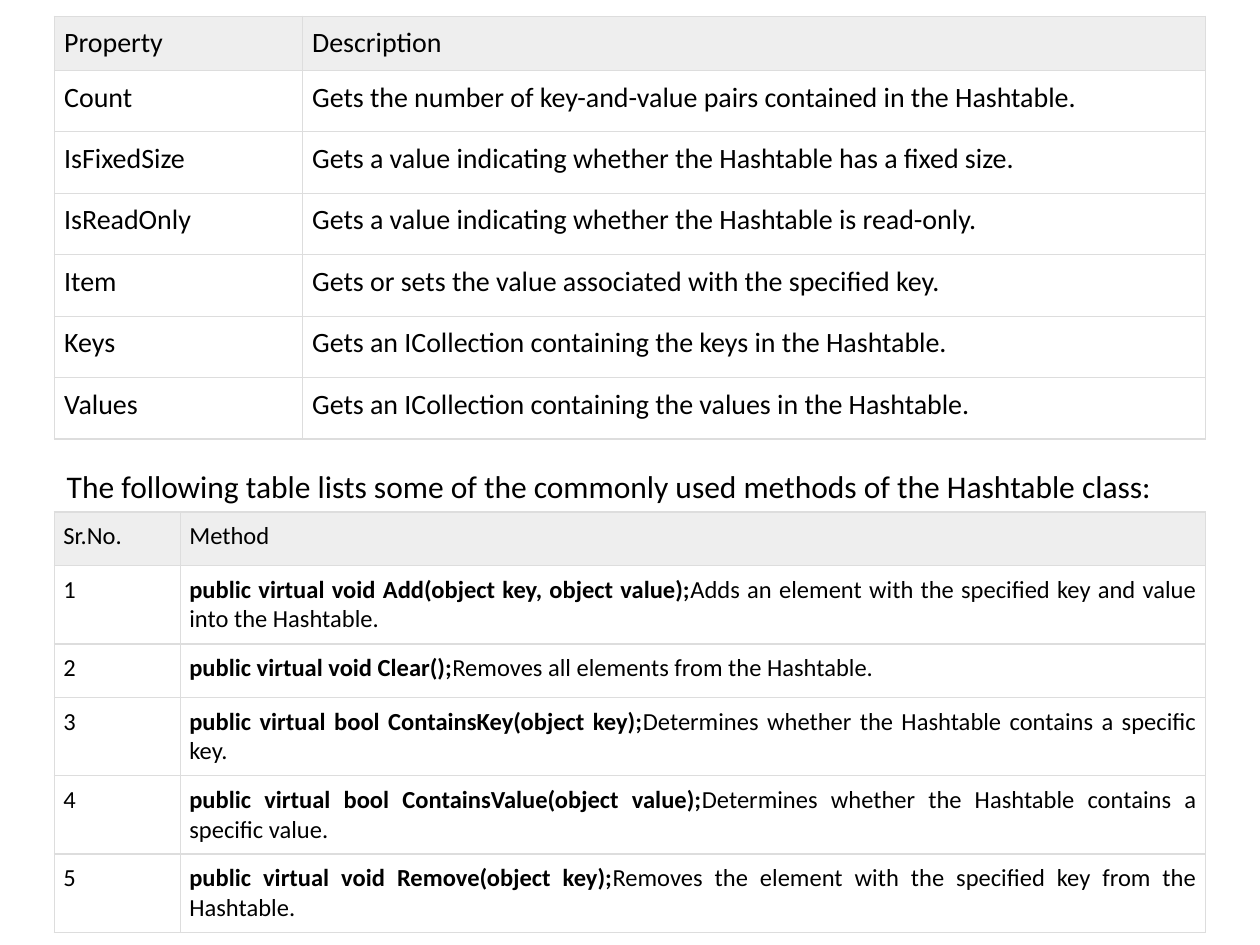
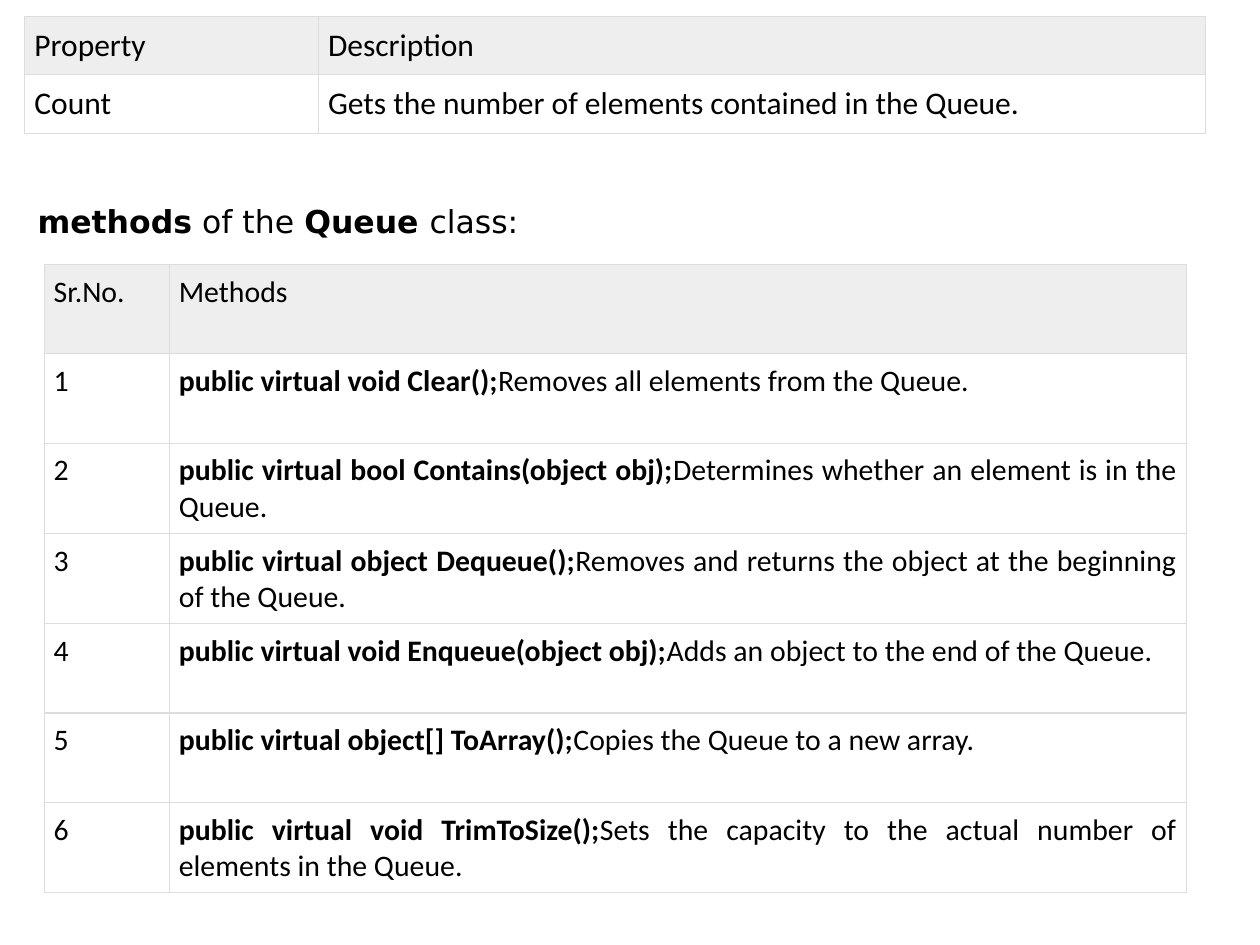
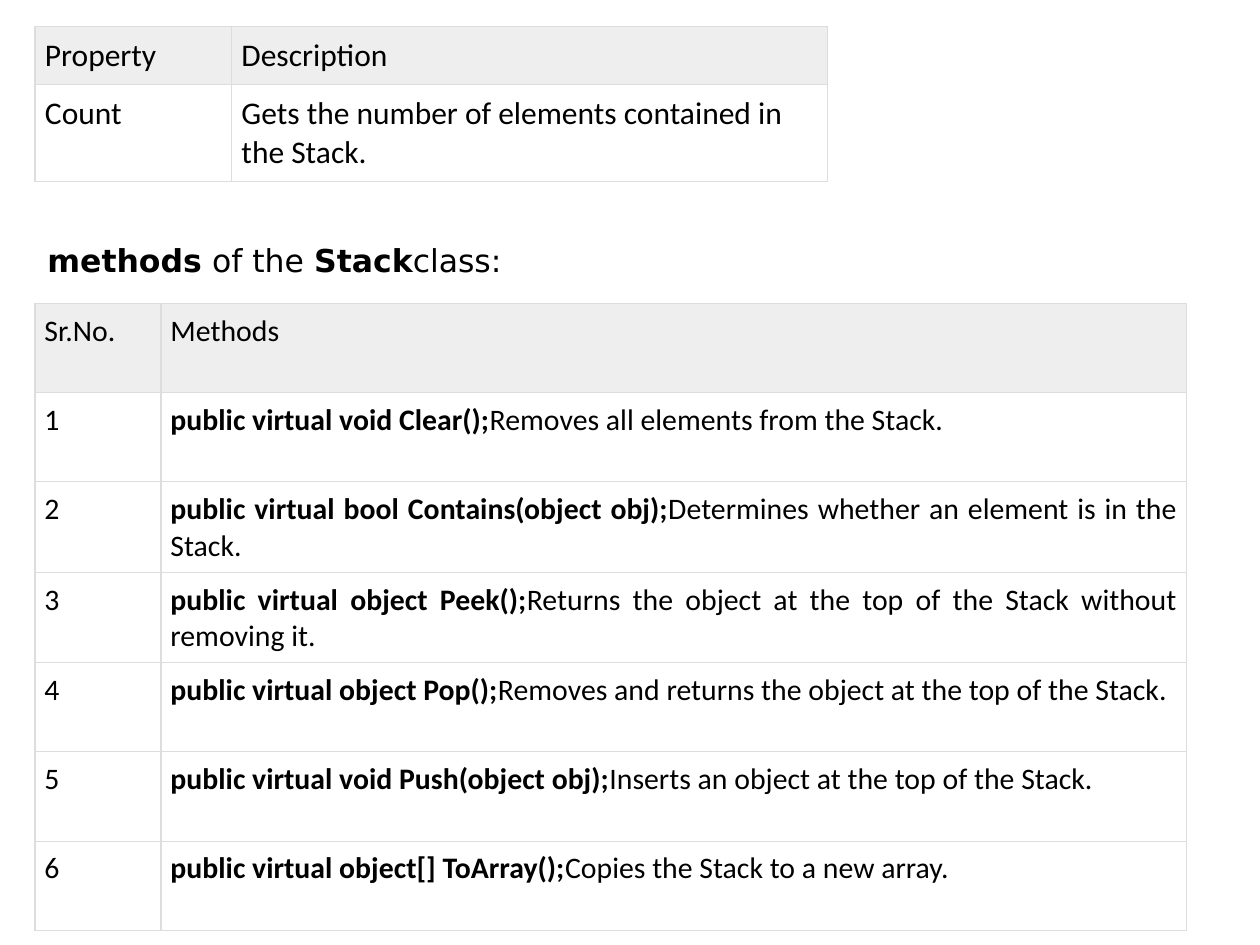
from lxml import etree
from pptx import Presentation
from pptx.dml.color import RGBColor
from pptx.enum.text import MSO_AUTO_SIZE, PP_ALIGN
from pptx.oxml.ns import qn
from pptx.util import Pt

JUSTIFY = PP_ALIGN.JUSTIFY
LEFT = PP_ALIGN.LEFT
GROW = MSO_AUTO_SIZE.SHAPE_TO_FIT_TEXT
BLANK_LAYOUT = 6

COLORS = {"text": "000000", "header": "EEEEEE", "border": "DDDDDD"}
BODY_FONT = "Calibri"
HEADING_FONT = "DejaVu Sans"

HASHTABLE_PROPERTIES = [
    ("Count", "Gets the number of key-and-value pairs contained in the Hashtable."),
    ("IsFixedSize", "Gets a value indicating whether the Hashtable has a fixed size."),
    ("IsReadOnly", "Gets a value indicating whether the Hashtable is read-only."),
    ("Item", "Gets or sets the value associated with the specified key."),
    ("Keys", "Gets an ICollection containing the keys in the Hashtable."),
    ("Values", "Gets an ICollection containing the values in the Hashtable."),
]
HASHTABLE_METHODS = [
    ("public virtual void Add(object key, object value);",
     "Adds an element with the specified key and value into the Hashtable."),
    ("public virtual void Clear();", "Removes all elements from the Hashtable."),
    ("public virtual bool ContainsKey(object key);",
     "Determines whether the Hashtable contains a specific key."),
    ("public virtual bool ContainsValue(object value);",
     "Determines whether the Hashtable contains a specific value."),
    ("public virtual void Remove(object key);",
     "Removes the element with the specified key from the Hashtable."),
]
QUEUE_METHODS = [
    ("public virtual void Clear();", "Removes all elements from the Queue."),
    ("public virtual bool Contains(object obj);",
     "Determines whether an element is in the Queue."),
    ("public virtual object Dequeue();",
     "Removes and returns the object at the beginning of the Queue."),
    ("public virtual void Enqueue(object obj);",
     "Adds an object to the end of the Queue."),
    ("public virtual object[] ToArray();", "Copies the Queue to a new array."),
    ("public virtual void TrimToSize();",
     "Sets the capacity to the actual number of elements in the Queue."),
]
STACK_METHODS = [
    ("public virtual void Clear();", "Removes all elements from the Stack."),
    ("public virtual bool Contains(object obj);",
     "Determines whether an element is in the Stack."),
    ("public virtual object Peek();",
     "Returns the object at the top of the Stack without removing it."),
    ("public virtual object Pop();",
     "Removes and returns the object at the top of the Stack."),
    ("public virtual void Push(object obj);",
     "Inserts an object at the top of the Stack."),
    ("public virtual object[] ToArray();", "Copies the Stack to a new array."),
]


def color(name):
    return RGBColor.from_string(COLORS[name])


def add_runs(paragraph, runs, size, font=BODY_FONT):
    for text, bold in runs:
        run = paragraph.add_run()
        run.text = text
        run.font.name = font
        run.font.size = Pt(size)
        run.font.bold = bold
        run.font.color.rgb = color("text")


def add_borders(cell):
    properties = cell._tc.get_or_add_tcPr()
    for index, side in enumerate(("a:lnL", "a:lnR", "a:lnT", "a:lnB")):
        line = etree.Element(qn(side), w=str(Pt(0.75)))
        fill = etree.SubElement(line, qn("a:solidFill"))
        etree.SubElement(fill, qn("a:srgbClr"), val=COLORS["border"])
        properties.insert(index, line)


def fill_cell(cell, runs, size, inset, is_header, align):
    cell.margin_left = cell.margin_right = Pt(inset)
    cell.margin_top = cell.margin_bottom = Pt(inset)
    if is_header:
        cell.fill.solid()
        cell.fill.fore_color.rgb = color("header")
    else:
        cell.fill.background()
    add_borders(cell)
    paragraph = cell.text_frame.paragraphs[0]
    paragraph.alignment = align
    add_runs(paragraph, runs, size)


def add_grid(slide, left, top, widths, heights, rows, size, inset, body_align=LEFT):
    frame = slide.shapes.add_table(len(rows), len(widths), Pt(left), Pt(top),
                                   Pt(sum(widths)), Pt(sum(heights)))
    table = frame.table
    table.first_row = table.horz_banding = False
    for column, width in zip(table.columns, widths):
        column.width = Pt(width)
    for row, height in zip(table.rows, heights):
        row.height = Pt(height)
    for r, row in enumerate(rows):
        for c, runs in enumerate(row):
            align = body_align if r and c else LEFT
            fill_cell(table.cell(r, c), runs, size, inset, r == 0, align)


def add_properties(slide, left, top, widths, heights, properties, size):
    rows = [[[(text, False)] for text in row]
            for row in [("Property", "Description"), *properties]]
    add_grid(slide, left, top, widths, heights, rows, size, 5.7)


def add_methods(slide, left, top, widths, heights, label, methods, size, inset):
    rows = [[[("Sr.No.", False)], [(label, False)]]]
    for number, (signature, summary) in enumerate(methods, 1):
        rows.append([[(str(number), False)], [(signature, True), (summary, False)]])
    add_grid(slide, left, top, widths, heights, rows, size, inset, JUSTIFY)


def add_heading(slide, left, top, width, runs, font=HEADING_FONT, wrap=False):
    heading = slide.shapes.add_textbox(Pt(left), Pt(top), Pt(width), Pt(29))
    frame = heading.text_frame
    frame.word_wrap = wrap
    frame.auto_size = GROW
    add_runs(frame.paragraphs[0], runs, 18, font)


def add_hashtable_slide(slide):
    add_properties(slide, 31, 9.3, (141.7, 516), [31] + [35.1] * 6,
                   HASHTABLE_PROPERTIES, 16)
    add_methods(slide, 31, 292.6, (72, 586), (30.7, 44.7, 30.7, 44.7, 44.7, 44.7),
                "Method", HASHTABLE_METHODS, 14, 5.2)
    add_heading(slide, 31, 263.5, 646.5,
                [("The following table lists some of the commonly used methods "
                  "of the Hashtable class:", False)], BODY_FONT, True)


def add_queue_slide(slide):
    add_properties(slide, 14, 9.3, (167.8, 507), [33.5] * 2,
                   [("Count", "Gets the number of elements contained in the Queue.")], 18)
    add_methods(slide, 25.3, 151.2, (71.5, 581), [51] * 7,
                "Methods", QUEUE_METHODS, 17, 5.4)
    add_heading(slide, 14.4, 111.6, 294,
                [("methods", True), (" of the ", False),
                 ("Queue ", True), ("class:", False)])


def add_stack_slide(slide):
    add_properties(slide, 20, 15, (112.3, 340.6), (33.5, 55.4),
                   [("Count", "Gets the number of elements contained in the Stack.")], 18)
    add_methods(slide, 20, 173.4, (72, 586), [51] * 7,
                "Methods", STACK_METHODS, 17, 5.4)
    add_heading(slide, 20, 134, 278,
                [("methods", True), (" of the ", False),
                 ("Stack", True), ("class:", False)])


def main():
    deck = Presentation()
    deck.slide_width, deck.slide_height = Pt(720), Pt(540)
    for build in (add_hashtable_slide, add_queue_slide, add_stack_slide):
        build(deck.slides.add_slide(deck.slide_layouts[BLANK_LAYOUT]))
    deck.save("out.pptx")


if __name__ == "__main__":
    main()
